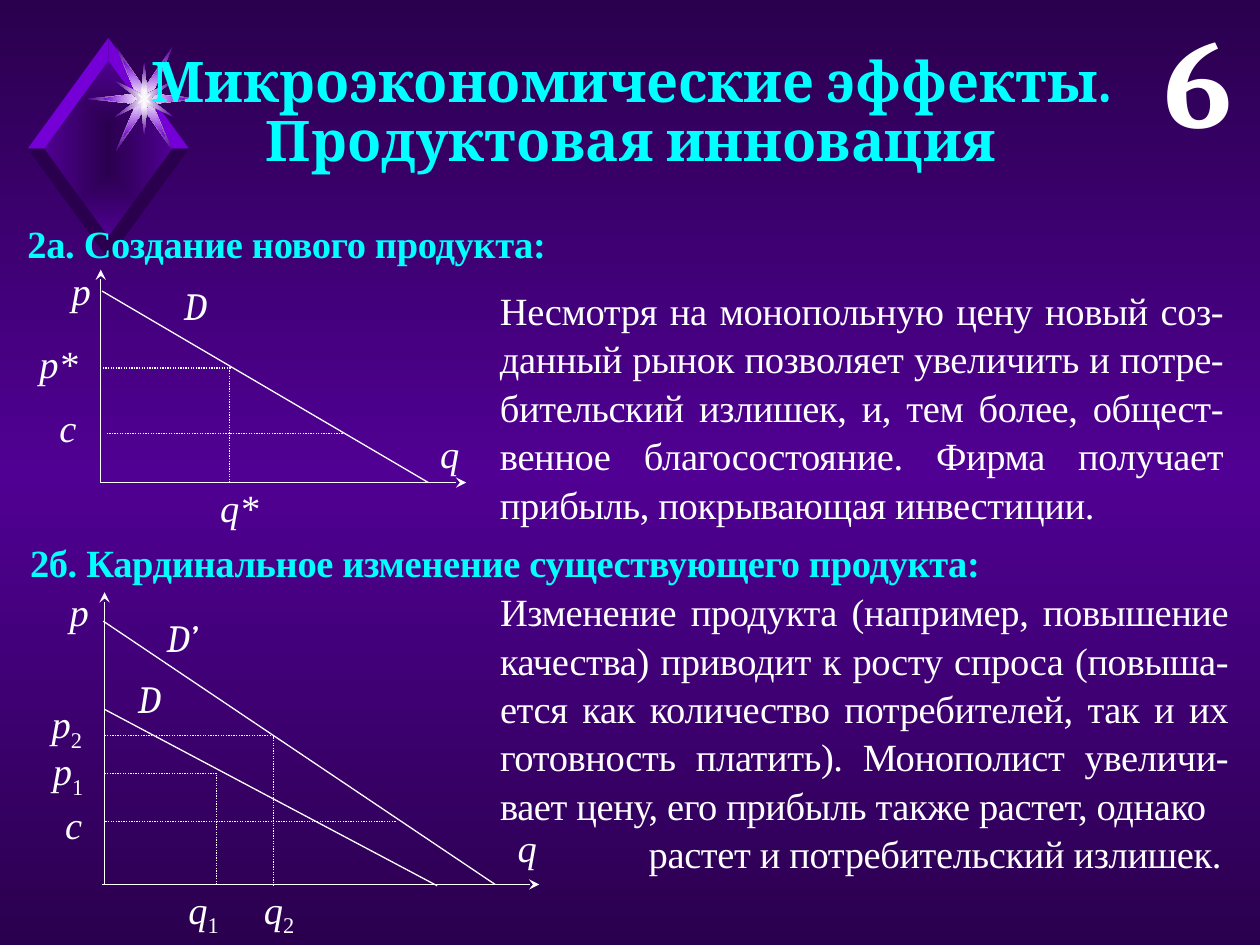
from lxml import etree
from pptx import Presentation
from pptx.dml.color import RGBColor
from pptx.enum.dml import MSO_LINE
from pptx.enum.shapes import MSO_CONNECTOR
from pptx.enum.text import MSO_ANCHOR, MSO_AUTO_SIZE, PP_ALIGN
from pptx.oxml.ns import qn
from pptx.util import Inches, Pt

LEFT, CENTER, RIGHT, JUSTIFY = PP_ALIGN.LEFT, PP_ALIGN.CENTER, PP_ALIGN.RIGHT, PP_ALIGN.JUSTIFY
DOTTED = MSO_LINE.ROUND_DOT
STRAIGHT = MSO_CONNECTOR.STRAIGHT
COLORS = {"dark": "2A004E", "violet": "500093", "bright": "7500D7",
          "white": "FFFFFF", "pale": "F9F9F9", "cyan": "00FFFF"}
SERIF, TIMES = "Cambria", "Times New Roman"
CELL = Inches(0.1)  # the slide is a grid of 100 columns and 75 rows

presentation = Presentation()
presentation.slide_width, presentation.slide_height = 100 * CELL, 75 * CELL
slide = presentation.slides.add_slide(presentation.slide_layouts[5])
title = slide.shapes.title


def set_gradient(properties, names, direction):
    """Replace a solid fill by evenly spaced gradient stops."""
    gradient = etree.Element(qn("a:gradFill"), rotWithShape="1")
    stops = etree.SubElement(gradient, qn("a:gsLst"))
    for index, name in enumerate(names):
        stop = etree.SubElement(stops, qn("a:gs"), pos=str(100000 * index // (len(names) - 1)))
        etree.SubElement(stop, qn("a:srgbClr"), val=COLORS[name])
    if direction == "down":
        etree.SubElement(gradient, qn("a:lin"), ang="5400000", scaled="0")
    else:
        center = etree.SubElement(gradient, qn("a:path"), path="rect")
        etree.SubElement(center, qn("a:fillToRect"), l="50000", t="50000", r="50000", b="50000")
    properties.replace(properties.find(qn("a:solidFill")), gradient)


def write_text(shape, box, texts, size, font=TIMES, color="white", align=JUSTIFY,
               bold=False, italic=False, spacing=1.0, tracking=0, margin=None):
    """Place a shape on the grid; a text is a string or a (base, subscript) pair."""
    shape.left, shape.top, shape.width, shape.height = [round(n * CELL) for n in box]
    frame = shape.text_frame
    frame.word_wrap = True
    frame.auto_size = MSO_AUTO_SIZE.NONE
    frame.vertical_anchor = MSO_ANCHOR.TOP
    if margin is not None:
        frame.margin_left = frame.margin_top = frame.margin_right = frame.margin_bottom = margin
    for index, text in enumerate(texts):
        paragraph = frame.paragraphs[0] if index == 0 else frame.add_paragraph()
        base, subscript = (text, "") if isinstance(text, str) else text
        paragraph.add_run().text = base
        if subscript:
            run = paragraph.add_run()
            run.text = subscript
            run.font.italic = False
            run.font._rPr.set("baseline", "-25000")
        paragraph.alignment = align
        paragraph.line_spacing = spacing
        paragraph.font.name, paragraph.font.size = font, Pt(size)
        paragraph.font.bold, paragraph.font.italic = bold, italic
        paragraph.font.color.rgb = RGBColor.from_string(COLORS[color])
        if tracking:
            paragraph.font._rPr.set("spc", str(tracking))


# Background
slide.background.fill.solid()
set_gradient(slide._element.find(".//" + qn("p:bgPr")), ["dark", "violet", "dark"], "down")

# Diamond ornament: a face and four bevels
diamond_x, diamond_y = 8.6, 11.8
ornament = [([(0, -7.1), (-5.2, 0), (0, 7.1), (5.2, 0)], diamond_x, diamond_y, ["dark", "violet"])]
for side_y, color in ((-1, "bright"), (1, "dark")):
    for side_x in (1, -1):
        bevel = [(0, 7), (0, 8.8), (6.4, 0), (5.1, 0)]
        ornament.append(([(side_x * x, side_y * y) for x, y in bevel],
                         diamond_x, diamond_y, [color]))

# Star ornament: each star is mirrored from its upper right quarter
stars = [
    ([(0, -0.85), (2.25, -4.15), (0.65, -0.4), (4.55, 0)], ["white", "violet"]),
    ([(0, -0.85), (1.65, -3.05), (0.65, -0.4), (3.3, 0)], ["white", "bright"]),
    ([(0, -2.9), (0.25, -0.4), (2.35, -1.45), (0.45, 0)], ["white", "violet"]),
    ([(0, -0.7), (0.1, -0.2), (0.55, -0.4), (0.2, 0)], ["pale"]),
]
for quarter, colors in stars:
    half = quarter + [(x, -y) for x, y in quarter[2::-1]]
    ring = half + [(-x, y) for x, y in half[-2:0:-1]]
    ornament.append((ring, 11.45, 7.85, colors))

for points, center_x, center_y, colors in ornament:
    corners = [(round((center_x + x) * CELL), round((center_y + y) * CELL)) for x, y in points]
    builder = slide.shapes.build_freeform(*corners[0], scale=1.0)
    builder.add_line_segments(corners[1:], close=True)
    shape = builder.convert_to_shape()
    shape.shadow.inherit = False
    shape.line.fill.background()
    shape.fill.solid()
    shape.fill.fore_color.rgb = RGBColor.from_string(COLORS[colors[0]])
    if len(colors) > 1:
        set_gradient(shape._element.spPr, colors, "center")

# Title in front of the ornament, and the slide's number
slide.shapes._spTree.append(title._element)
write_text(title, (2, 3.8, 96.2, 11.8), ["Микроэкономические эффекты.", "Продуктовая инновация"],
           32, SERIF, "cyan", CENTER, bold=True, spacing=0.89)
write_text(slide.shapes.add_textbox(0, 0, 0, 0), (86.3, 1.2, 12.5, 13.1), ["6"],
           72, SERIF, align=RIGHT, bold=True, spacing=0.89)

# Section headings
for box, heading in [
    ((1.2, 16.8, 97.6, 4.7), "2а. Создание нового продукта:"),
    ((1.4, 42.1, 97.6, 4.7), "2б. Кардинальное изменение существующего продукта:"),
]:
    write_text(slide.shapes.add_textbox(0, 0, 0, 0), box, [heading], 22, color="cyan",
               bold=True, spacing=1.05, tracking=-20)

# Lines of both demand diagrams: axes, demand curves, guides
lines = {
    "axis": [(8, 38.3, 8, 21.4), (8, 38.3, 37, 38.3),
             (8.3, 70.2, 8.3, 47), (8.1, 70.2, 42.8, 70.2)],
    "demand": [(8.1, 23.1, 34, 38.3),
               (8.2, 49.3, 39.3, 70.2), (8.3, 56.3, 34.7, 70.3)],
    "guide": [(18.3, 29.2, 8.1, 29.2), (18.2, 38.3, 18.2, 29.2), (27.2, 34.4, 8.4, 34.4),
              (17.2, 61.4, 8.3, 61.4), (17.2, 70.2, 17.2, 61.4), (31.4, 65.2, 8.3, 65.2),
              (21.5, 58.4, 8.2, 58.4), (21.7, 70.3, 21.7, 58.4)],
}
for kind, segments in lines.items():
    for segment in segments:
        connector = slide.shapes.add_connector(STRAIGHT, *[round(n * CELL) for n in segment])
        connector.line.color.rgb = RGBColor.from_string(COLORS["white"])
        connector.line.width = Pt(0.75)
        if kind == "guide":
            connector.line.dash_style = DOTTED
        if kind == "axis":
            etree.SubElement(connector.line._get_or_add_ln(), qn("a:tailEnd"), type="stealth")
        etree.SubElement(connector._element.spPr, qn("a:effectLst"))

# Labels of both diagrams
labels = [
    ("q", TIMES, (32.9, 34, 5.6, 3.5)),
    ("p", TIMES, (4.8, 21.1, 3.3, 3.4)),
    ("D", SERIF, (12.7, 22.3, 5.6, 3.9)),
    ("с", TIMES, (2.4, 32, 6, 5.2)),
    ("p*", TIMES, (1.8, 26.9, 5.7, 4.5)),
    ("q*", TIMES, (15.5, 38.3, 7, 5.4)),
    ("q", TIMES, (38.5, 65.3, 6.7, 6.6)),
    ("p", TIMES, (4.3, 46.6, 4, 4.6)),
    ("D", SERIF, (8.5, 53.5, 6.7, 5.3)),
    ("D’", SERIF, (11.1, 48.6, 6.7, 5.3)),
    ("с", TIMES, (3.6, 63.5, 4.5, 5)),
    (("q", "1"), TIMES, (12.4, 70.2, 7.5, 4.4)),
    (("q", "2"), TIMES, (18.4, 70.2, 7.5, 4.4)),
    (("p", "1"), TIMES, (1.4, 59.2, 8, 5.7)),
    (("p", "2"), TIMES, (1.3, 55.5, 8, 5.7)),
]
for label, font, box in labels:
    write_text(slide.shapes.add_textbox(0, 0, 0, 0), box, [label], 22, font,
               align=CENTER, italic=True, margin=Inches(0.01))

# Explanations beside the diagrams
explanations = [
    ((38.7, 22.1, 59.4, 19.5), [
        "Несмотря на монопольную цену новый соз-данный рынок позволяет увеличить и "
        "потре-бительский излишек, и, тем более, общест-венное благосостояние. "
        "Фирма получает прибыль, покрывающая инвестиции."]),
    ((38.7, 46, 59.8, 23.2), [
        "Изменение продукта (например, повышение качества) приводит к росту спроса "
        "(повыша-ется как количество потребителей, так и их готовность платить). "
        "Монополист увеличи-вает цену, его прибыль также растет, однако",
        "растет и потребительский излишек."]),
]
for box, texts in explanations:
    explanation = slide.shapes.add_textbox(0, 0, 0, 0)
    write_text(explanation, box, texts, 22, spacing=1.05, tracking=-20)
closing_line = explanation.text_frame.paragraphs[-1]
closing_line._p.get_or_add_pPr().set("marL", str(round(11.8 * CELL)))

presentation.save("out.pptx")
